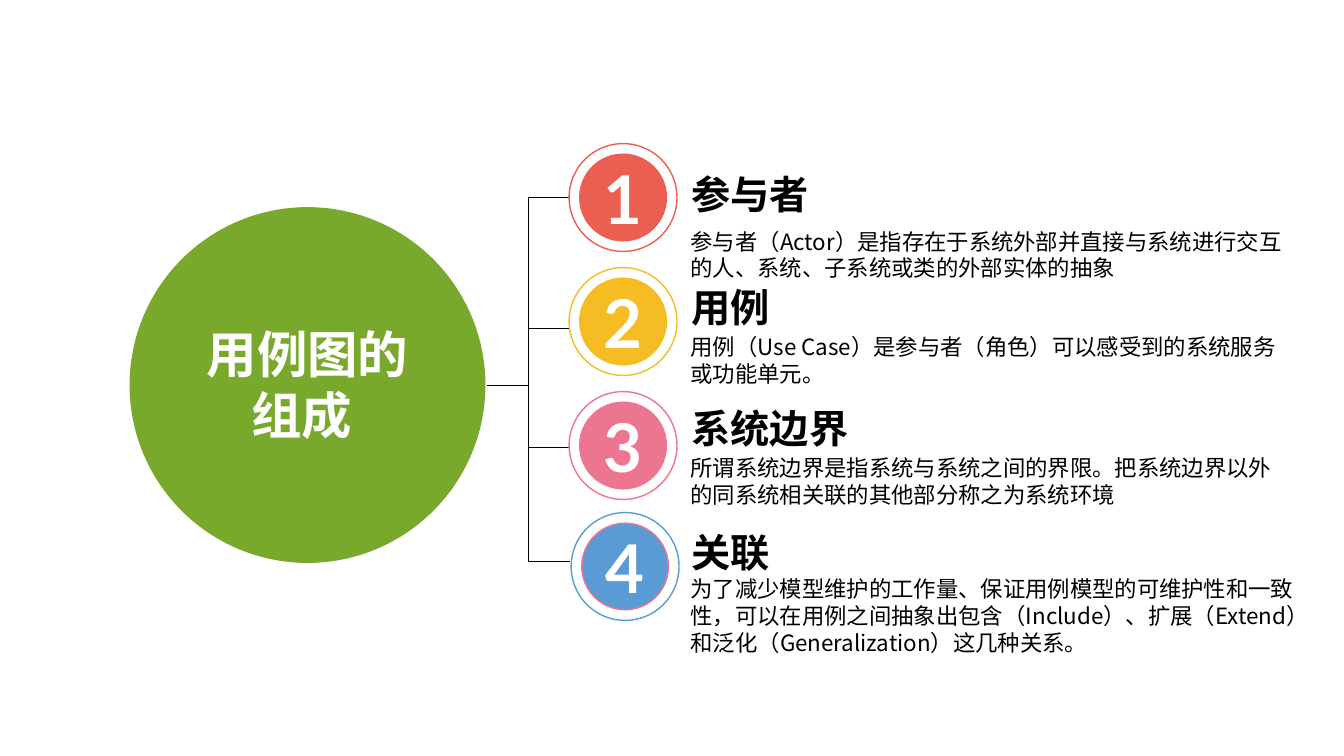
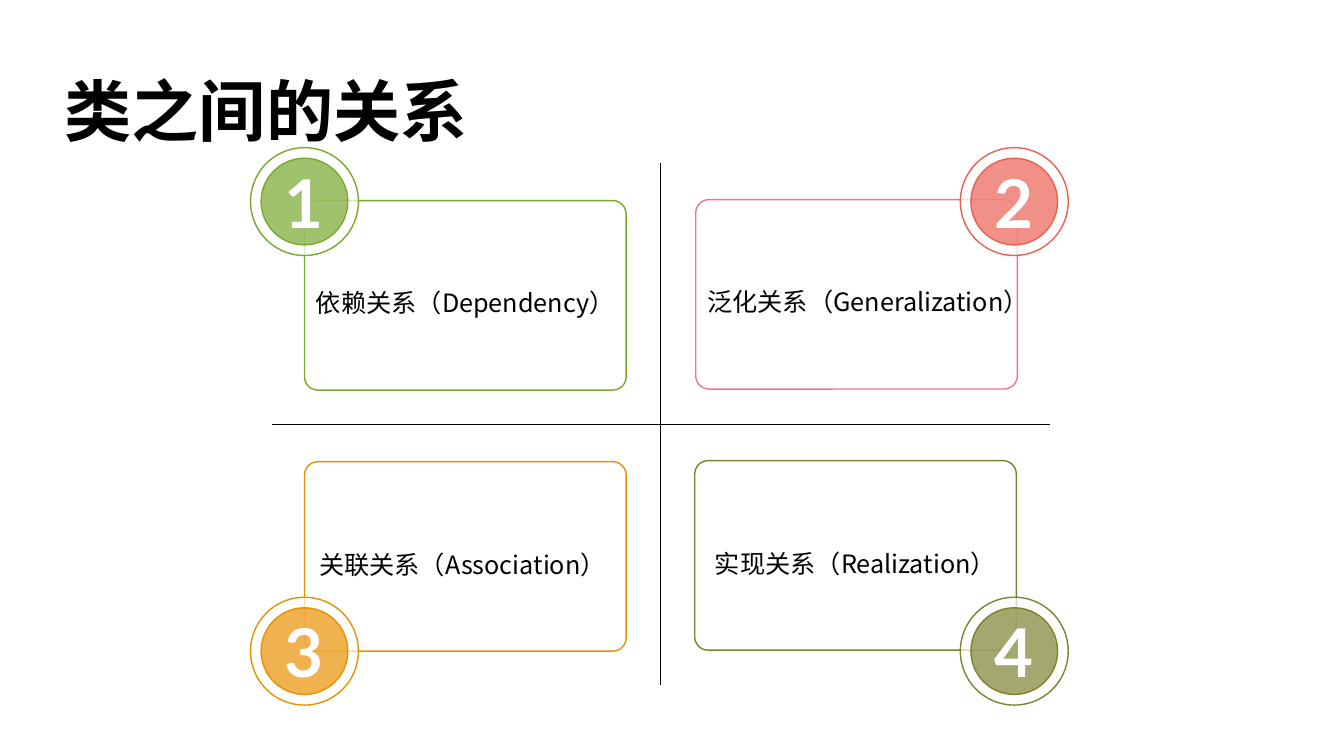
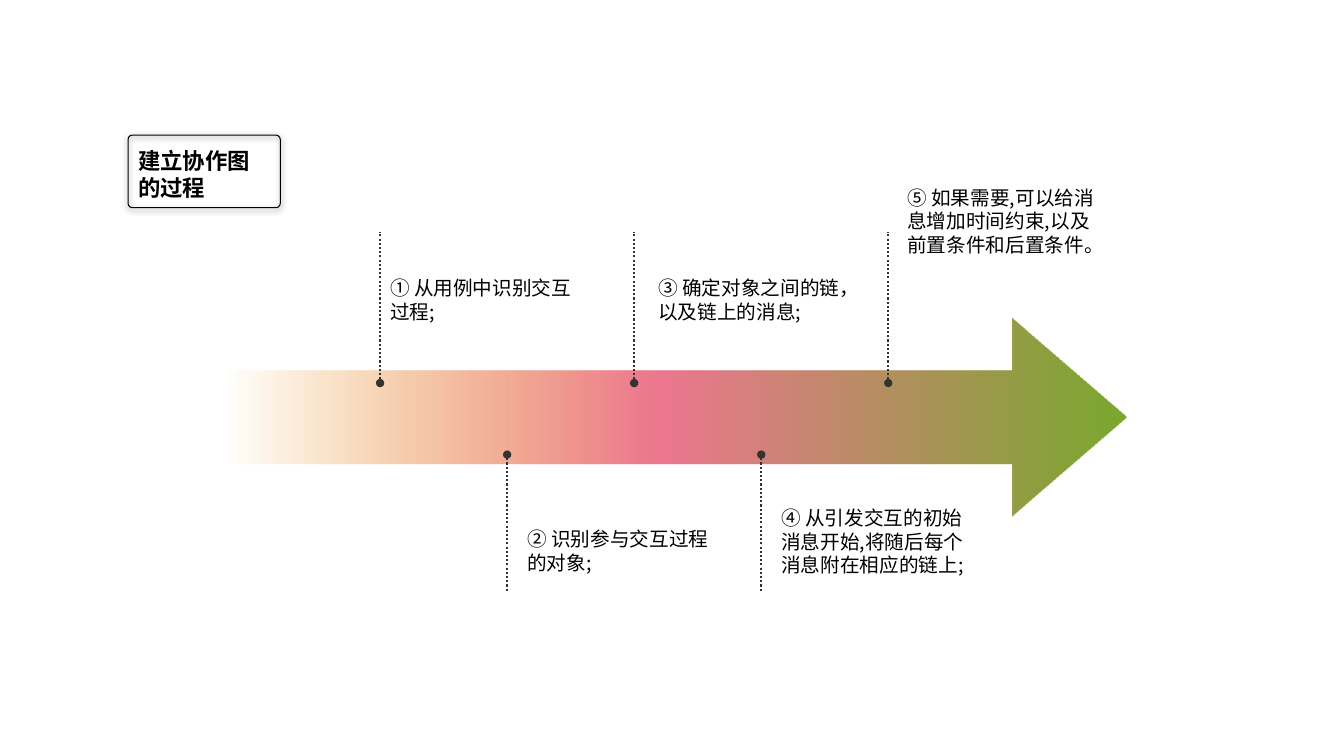
from lxml import etree
from pptx import Presentation
from pptx.dml.color import RGBColor
from pptx.enum import dml, shapes, text
from pptx.oxml import parse_xml
from pptx.oxml.ns import nsdecls, qn
from pptx.util import Inches, Pt

# Shared style
BLACK = RGBColor(0x00, 0x00, 0x00)
WHITE = RGBColor(0xFF, 0xFF, 0xFF)
CHARCOAL = RGBColor(0x33, 0x33, 0x33)
GREEN = RGBColor(0x78, 0xA8, 0x2C)
RED = RGBColor(0xEB, 0x5F, 0x52)
YELLOW = RGBColor(0xF5, 0xBD, 0x23)
PINK = RGBColor(0xEC, 0x76, 0x90)
BLUE = RGBColor(0x5B, 0x9B, 0xD5)
ORANGE = RGBColor(0xE9, 0x90, 0x00)
OLIVE = RGBColor(0x7E, 0x82, 0x2E)
CJK_FONT = "Noto Sans CJK SC"
DIGIT_FONT = "Lato"
RING, DISC = 1.07, 0.86
GLASS = 69
LEFT, CENTER = text.PP_ALIGN.LEFT, text.PP_ALIGN.CENTER
TOP, MIDDLE = text.MSO_ANCHOR.TOP, text.MSO_ANCHOR.MIDDLE

# Slide 1: heading, description, colour, disc outline, badge centre,
# branch y, heading y, description y, description width
PARTS_TITLE = "用例图的组成 "
PARTS = [
    ("参与者", "参与者（Actor）是指存在于系统外部并直接与系统进行交互的人、系统、子系统或类的外部实体的抽象",
     RED, RED, (6.18, 1.96), 1.96, 1.64, 2.21, 6.01),
    ("用例", "用例（Use Case）是参与者（角色）可以感受到的系统服务或功能单元。",
     YELLOW, YELLOW, (6.18, 3.19), 3.26, 2.76, 3.26, 6.01),
    ("系统边界", "所谓系统边界是指系统与系统之间的界限。把系统边界以外的同系统相关联的其他部分称之为系统环境",
     PINK, PINK, (6.18, 4.42), 4.44, 3.96, 4.46, 6.01),
    ("关联", "为了减少模型维护的工作量、保证用例模型的可维护性和一致性，可以在用例之间抽象出包含（Include）、"
     "扩展（Extend）和泛化（Generalization）这几种关系。",
     BLUE, PINK, (6.2, 5.62), 5.57, 5.19, 5.66, 6.3),
]

# Slide 2: label, label width, card colour, badge colour, card left and top
RELATIONS_TITLE = "类之间的关系"
RELATIONS = [
    ("依赖关系（Dependency）", 3.11, GREEN, GREEN, 3.02, 1.99),
    ("泛化关系（Generalization）", 3.34, PINK, RED, 6.9, 1.98),
    ("关联关系（Association） ", 3.11, ORANGE, ORANGE, 3.02, 4.58),
    ("实现关系（Realization）", 3.11, OLIVE, OLIVE, 6.89, 4.57),
]
BADGE_XS, BADGE_YS = (3.02, 10.06), (2.0, 6.46)

# Slide 3: text, left, top, height
PROCESS_TITLE = "建立协作图的过程"
STEPS = [
    ("① 从用例中识别交互过程;", 3.77, 2.69, 0.57),
    ("② 识别参与交互过程的对象;", 5.13, 5.18, 0.57),
    ("③ 确定对象之间的链，以及链上的消息;", 6.43, 2.69, 0.57),
    ("④ 从引发交互的初始消息开始,将随后每个消息附在相应的链上;", 7.65, 4.97, 0.81),
    ("⑤ 如果需要,可以给消息增加时间约束,以及前置条件和后置条件。", 8.9, 1.79, 0.81),
]
FIRST_STEP_X, STEP_GAP = 3.77, 1.26
ARROW_STOPS = [(0, GREEN, 100), (52, PINK, 100), (100, ORANGE, 0)]


def write(shape, words, size, color=BLACK, bold=False, font=CJK_FONT, align=LEFT,
          anchor=TOP, margins=(0.05, 0.05), spacing=None, wrap=True):
    frame = shape.text_frame
    frame.auto_size = text.MSO_AUTO_SIZE.NONE
    frame.word_wrap = wrap
    frame.vertical_anchor = anchor
    frame.margin_left = frame.margin_right = Inches(margins[0])
    frame.margin_top = frame.margin_bottom = Inches(margins[1])
    paragraph = frame.paragraphs[0]
    paragraph.alignment = align
    if spacing:
        paragraph.line_spacing = spacing
    run = paragraph.add_run()
    run.text = words
    run.font.size, run.font.bold, run.font.name = Pt(size), bold, font
    run.font.color.rgb = color
    east_asian = etree.SubElement(run.font._element, qn("a:ea"))
    east_asian.set("typeface", font)


def add_text(slide, box, words, size, **style):
    write(slide.shapes.add_textbox(*map(Inches, box)), words, size, **style)


def add_title(slide, box, words, size, **style):
    """Fill the title placeholder and bring it to the front."""
    title = slide.shapes.title
    title.left, title.top, title.width, title.height = map(Inches, box)
    write(title, words, size, bold=True, **style)
    title._element.getparent().append(title._element)


def add_shape(slide, kind, box, fill=None, line=None, opacity=100, weight=1):
    shape = slide.shapes.add_shape(kind, *map(Inches, box))
    shape.shadow.inherit = False
    if fill is None:
        shape.fill.background()
    else:
        shape.fill.solid()
        shape.fill.fore_color.rgb = fill
        if opacity < 100:
            color = shape._element.spPr.find(qn("a:solidFill"))[0]
            etree.SubElement(color, qn("a:alpha")).set("val", str(opacity * 1000))
    if line is None:
        shape.line.fill.background()
    else:
        shape.line.color.rgb = line
        shape.line.width = Pt(weight)
    return shape


def add_circle(slide, center, size, **style):
    x, y = center
    return add_shape(slide, shapes.MSO_SHAPE.OVAL,
                     (x - size / 2, y - size / 2, size, size), **style)


def add_badge(slide, number, center, color, outline, opacity=100):
    add_circle(slide, center, RING, fill=WHITE, line=color, opacity=GLASS)
    disc = add_circle(slide, center, DISC, fill=color, line=outline, opacity=opacity)
    write(disc, str(number), 48, color=WHITE, bold=True, font=DIGIT_FONT,
          align=CENTER, anchor=MIDDLE, margins=(0, 0), wrap=False)


def add_line(slide, start, end, color=BLACK, weight=0.5):
    line = slide.shapes.add_connector(shapes.MSO_CONNECTOR.STRAIGHT,
                                      *map(Inches, start + end))
    line.line.color.rgb = color
    line.line.width = Pt(weight)
    etree.SubElement(line._element.spPr, qn("a:effectLst"))
    return line


def build_parts(slide):
    # Hub
    add_circle(slide, (3.05, 3.82), 3.53, fill=GREEN)
    add_title(slide, (1.8, 2.86, 2.5, 1.9), PARTS_TITLE, 36, color=WHITE,
              align=CENTER, anchor=MIDDLE, margins=(0.1, 0.05))
    # Trunk
    trunk = 5.24
    add_line(slide, (4.83, 3.82), (trunk, 3.82))
    add_line(slide, (trunk, PARTS[0][5]), (trunk, PARTS[-1][5]))
    # Branches
    for number, part in enumerate(PARTS, 1):
        (heading, description, color, outline, center,
         branch_y, heading_y, description_y, width) = part
        add_line(slide, (trunk, branch_y), (5.65, branch_y))
        add_badge(slide, number, center, color, outline)
        add_text(slide, (6.81, heading_y, 4.2, 0.49), heading, 28, bold=True)
        add_text(slide, (6.8, description_y, width, 0.31), description, 16)


def build_relations(slide):
    # Cross
    add_line(slide, (2.7, 4.21), (10.41, 4.21))
    add_line(slide, (6.55, 1.62), (6.55, 6.8))
    # Cards with a badge on the outer corner
    for index, (label, width, card_color, badge_color, x, y) in enumerate(RELATIONS):
        card = add_shape(slide, shapes.MSO_SHAPE.ROUNDED_RECTANGLE, (x, y, 3.19, 1.88),
                         fill=WHITE, line=card_color, opacity=GLASS)
        card.adjustments[0] = 0.07
        add_text(slide, (x + 0.04, y + 0.37, width, 1.14), label, 18, align=CENTER,
                 anchor=MIDDLE, margins=(0, 0), spacing=1.5)
        row, column = divmod(index, 2)
        add_badge(slide, index + 1, (BADGE_XS[column], BADGE_YS[row]),
                  badge_color, badge_color, GLASS)
    add_title(slide, (0.59, 0.64, 5.29, 0.76), RELATIONS_TITLE, 48)


def fade(shape, stops, angle):
    stop_xml = "".join(
        f'<a:gs pos="{pos * 1000}"><a:srgbClr val="{color}">'
        f'<a:alpha val="{opacity * 1000}"/></a:srgbClr></a:gs>'
        for pos, color, opacity in stops)
    gradient = parse_xml(f'<a:gradFill {nsdecls("a")} rotWithShape="1"><a:gsLst>{stop_xml}'
                         f'</a:gsLst><a:lin ang="{angle * 60000}" scaled="0"/></a:gradFill>')
    properties = shape._element.spPr
    properties.replace(properties.find(qn("a:noFill")), gradient)


def build_process(slide):
    # Arrow
    arrow = add_shape(slide, shapes.MSO_SHAPE.RIGHT_ARROW, (2.26, 3.15, 8.91, 1.97))
    arrow.adjustments[0], arrow.adjustments[1] = 0.47, 0.58
    fade(arrow, ARROW_STOPS, 180)
    # Steps, alternately above and below
    for index, (words, x, y, height) in enumerate(STEPS):
        marker_x = FIRST_STEP_X + index * STEP_GAP
        start_y, end_y = (4.51, 5.88) if index % 2 else (3.8, 2.3)
        leader = add_line(slide, (marker_x, start_y), (marker_x, end_y), CHARCOAL, 1.5)
        leader.line.dash_style = dml.MSO_LINE.ROUND_DOT
        etree.SubElement(leader.line._get_or_add_ln(), qn("a:headEnd")).set("type", "oval")
        add_text(slide, (x, y, 2.18, height), words, 14, margins=(0.1, 0.05))
    # Title box with a soft shadow
    frame = add_shape(slide, shapes.MSO_SHAPE.ROUNDED_RECTANGLE, (1.27, 1.34, 1.51, 0.72),
                      line=BLACK, weight=0.75)
    frame.adjustments[0] = 0.06
    frame._element.spPr.find(qn("a:effectLst")).append(parse_xml(
        f'<a:outerShdw {nsdecls("a")} blurRad="{Pt(4.5)}" dist="{Pt(1.5)}" dir="5400000" '
        'algn="ctr" rotWithShape="0"><a:srgbClr val="000000"><a:alpha val="63000"/>'
        '</a:srgbClr></a:outerShdw>'))
    add_title(slide, (1.27, 1.41, 1.51, 0.64), PROCESS_TITLE, 16, margins=(0.1, 0.05))


def main():
    deck = Presentation()
    deck.slide_width, deck.slide_height = Inches(13.33), Inches(7.5)
    title_only = deck.slide_layouts[5]
    for build in (build_parts, build_relations, build_process):
        build(deck.slides.add_slide(title_only))
    deck.save("out.pptx")


if __name__ == "__main__":
    main()
